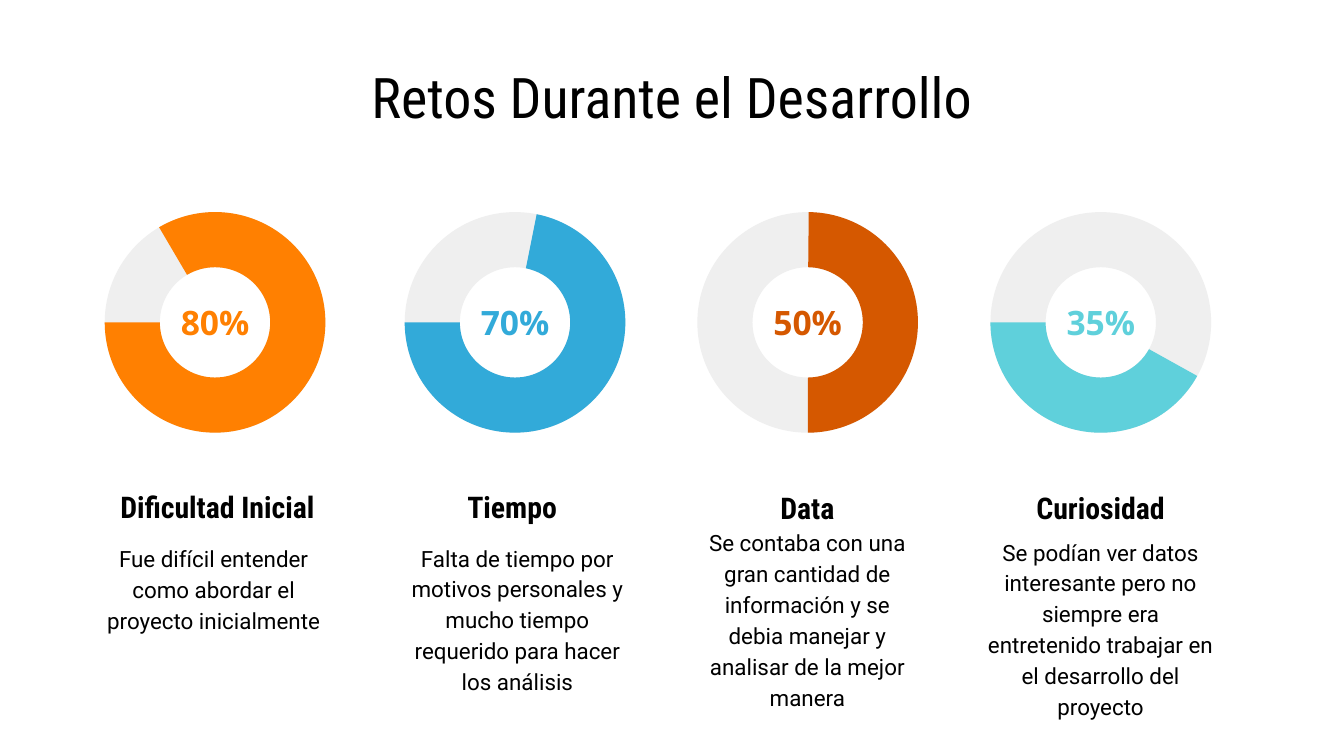
"""Build a slide with four ring gauges, each with a heading and a short text."""
import pptx
import pptx.util
import pptx.dml.color
import pptx.enum.shapes
import pptx.enum.text

Cm = pptx.util.Cm
COLORS = {
    "black": "000000", "track": "EFEFEF", "orange": "FF8001",
    "blue": "32AAD9", "rust": "D55800", "aqua": "5FD0DB",
}
RING_TOP, RING_SIZE, RING_HOLE = 4.01, 4.17, 0.25
START, END = 180, 179.98
UNITS_PER_DEGREE = 0.6
LABEL_W, LABEL_H = 2.36, 0.97
TEXT_W, HEADING_H, BODY_H = 5.28, 0.91, 2.08

gauges = [
    {"color": "orange", "percent": "80%", "left": 1.98, "start": 239.55, "end": END,
     "heading": "Dificultad Inicial", "heading_at": (1.47, 9.12), "body_at": (1.4, 10.06),
     "body": "Fue difícil entender como abordar el proyecto inicialmente"},
    {"color": "blue", "percent": "70%", "left": 7.65, "start": 281.33, "end": END,
     "heading": "Tiempo", "heading_at": (7.04, 9.12), "body_at": (7.14, 10.64),
     "body": "Falta de tiempo por motivos personales y mucho tiempo "
             "requerido para hacer los análisis"},
    {"color": "rust", "percent": "50%", "left": 13.18, "start": 270.57, "end": 89.89,
     "heading": "Data", "heading_at": (12.62, 9.14), "body_at": (12.62, 10.64),
     "body": "Se contaba con una gran cantidad de información y se debia "
             "manejar y analisar de la mejor manera"},
    {"color": "aqua", "percent": "35%", "left": 18.72, "start": 29.04, "end": END,
     "heading": "Curiosidad", "heading_at": (18.16, 9.14), "body_at": (18.16, 10.82),
     "body": "Se podían ver datos interesante pero no siempre era "
             "entretenido trabajar en el desarrollo del proyecto"},
]


def write(sp, text, font, size, color, bold=False, margins=(0.51, 0), spacing=None):
    """Put one centred paragraph in a shape."""
    tf = sp.text_frame
    tf.word_wrap = True
    tf.auto_size = pptx.enum.text.MSO_AUTO_SIZE.NONE
    tf.vertical_anchor = pptx.enum.text.MSO_ANCHOR.MIDDLE
    tf.margin_left = tf.margin_right = Cm(margins[0])
    tf.margin_top = tf.margin_bottom = Cm(margins[1])
    p = tf.paragraphs[0]
    p.text = text
    p.alignment = pptx.enum.text.PP_ALIGN.CENTER
    p.line_spacing = spacing
    p.font.name = font
    p.font.size = pptx.util.Pt(size)
    p.font.bold = bold
    p.font.color.rgb = pptx.dml.color.RGBColor.from_string(COLORS[color])


prs = pptx.Presentation()
prs.slide_width, prs.slide_height = Cm(25.4), Cm(14.29)
slide = prs.slides.add_slide(prs.slide_layouts[5])
shapes = slide.shapes

title = shapes.title
title.left, title.top, title.width, title.height = Cm(1.27), Cm(1.14), Cm(22.86), Cm(1.35)
write(title, "Retos Durante el Desarrollo", "Roboto Condensed", 30, "black",
      margins=(0.25, 0.25))

for gauge in gauges:
    arcs = [("track", START, END), (gauge["color"], gauge["start"], gauge["end"])]
    for color, start, end in arcs:
        sp = shapes.add_shape(pptx.enum.shapes.MSO_SHAPE.BLOCK_ARC, Cm(gauge["left"]),
                              Cm(RING_TOP), Cm(RING_SIZE), Cm(RING_SIZE))
        sp.adjustments[0] = start * UNITS_PER_DEGREE
        sp.adjustments[1] = end * UNITS_PER_DEGREE
        sp.adjustments[2] = RING_HOLE
        sp.shadow.inherit = False
        sp.fill.solid()
        sp.fill.fore_color.rgb = pptx.dml.color.RGBColor.from_string(COLORS[color])
        sp.line.fill.background()

    label = shapes.add_textbox(Cm(gauge["left"] + (RING_SIZE - LABEL_W) / 2),
                               Cm(RING_TOP + (RING_SIZE - LABEL_H) / 2),
                               Cm(LABEL_W), Cm(LABEL_H))
    write(label, gauge["percent"], "Open Sans", 18, gauge["color"], True, (0.25, 0.25))

    left, top = gauge["heading_at"]
    heading = shapes.add_textbox(Cm(left), Cm(top), Cm(TEXT_W), Cm(HEADING_H))
    write(heading, gauge["heading"], "Roboto Condensed", 16, "black", True)

    left, top = gauge["body_at"]
    body = shapes.add_textbox(Cm(left), Cm(top), Cm(TEXT_W), Cm(BODY_H))
    write(body, gauge["body"], "Roboto", 12, "black", spacing=1.15)

prs.save("out.pptx")
